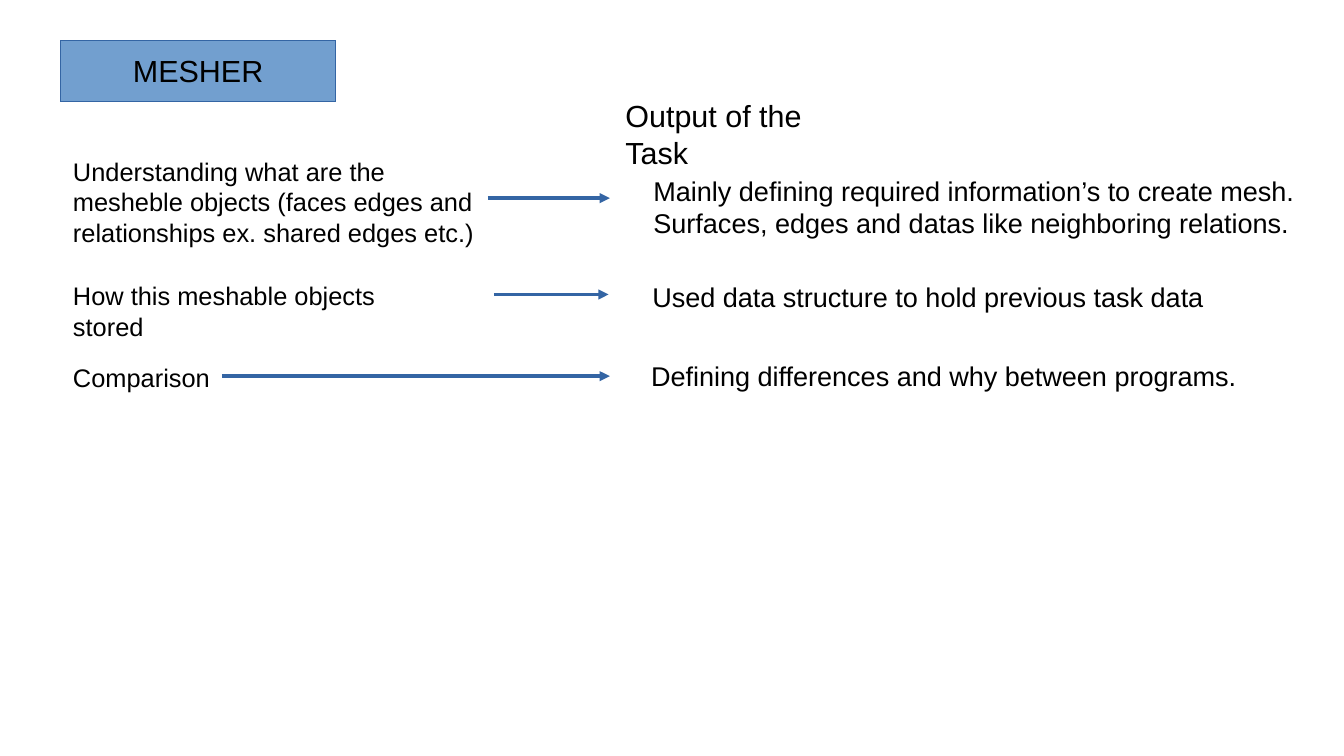
from lxml import etree
from pptx import Presentation
from pptx import util as u
from pptx.dml.color import RGBColor
from pptx.enum import shapes, text
from pptx.oxml.ns import qn

COLOURS = {"text": "000000", "fill": "729FCF", "line": "3465A4"}
FONT = "Arial"

# Each row: task, its box, task wraps, arrow start, arrow end,
# output, its box, output wraps
ROWS = [
    ("Understanding what are the mesheble objects (faces edges and "
     "relationships ex. shared edges etc.)", (0.5, 1.23, 3.5, 0.79), True, 4, 5,
     "Mainly defining required information’s to create mesh. "
     "Surfaces, edges and datas like neighboring relations.",
     (5.26, 1.38, 5.77, 0.59), True),
    ("How this meshable objects stored", (0.5, 2.25, 3.31, 0.33), False, 4.05, 4.99,
     "Used data structure to hold previous task data",
     (5.25, 2.25, 4.72, 0.35), False),
    ("Comparison", (0.5, 2.92, 1.32, 0.33), False, 1.82, 5,
     "Defining differences and why between programs.",
     (5.24, 2.9, 5, 0.35), False),
]


def colour(name):
    return RGBColor.from_string(COLOURS[name])


def style_line(line):
    line.color.rgb = colour("line")
    line.width = u.Pt(0)


def write(shape, words, size, align=text.PP_ALIGN.LEFT, **frame_format):
    frame = shape.text_frame
    frame_values = {
        "margin_left": u.Inches(0.1), "margin_right": u.Inches(0.1),
        "margin_top": u.Inches(0.05), "margin_bottom": u.Inches(0.05),
        **frame_format,
    }
    for name, value in frame_values.items():
        setattr(frame, name, value)
    para = frame.paragraphs[0]
    para.alignment = align
    para.line_spacing = 1.0
    para.space_before = u.Pt(0)
    span = para.add_run()
    span.text = words
    for name, value in {"name": FONT, "size": u.Pt(size), "bold": False}.items():
        setattr(span.font, name, value)
    span.font.color.rgb = colour("text")


def add_title(slide, box, words):
    title = slide.shapes.title
    for name, value in zip(("left", "top", "width", "height"), box):
        setattr(title, name, u.Inches(value))
    title.fill.solid()
    title.fill.fore_color.rgb = colour("fill")
    style_line(title.line)
    write(title, words, 18, text.PP_ALIGN.CENTER, word_wrap=True,
          auto_size=text.MSO_AUTO_SIZE.NONE,
          vertical_anchor=text.MSO_ANCHOR.MIDDLE)


def add_text(slide, box, words, size, wraps=False):
    shape = slide.shapes.add_textbox(*map(u.Inches, box))
    write(shape, words, size, word_wrap=wraps,
          auto_size=text.MSO_AUTO_SIZE.SHAPE_TO_FIT_TEXT,
          vertical_anchor=text.MSO_ANCHOR.TOP)
    return shape


def add_arrow(slide, start, end, middle):
    arrow = slide.shapes.add_connector(
        shapes.MSO_CONNECTOR.STRAIGHT,
        u.Inches(start), middle, u.Inches(end), middle)
    style_line(arrow.line)
    etree.SubElement(arrow.line._get_or_add_ln(), qn("a:tailEnd"), type="triangle")
    etree.SubElement(arrow._element.spPr, qn("a:effectLst"))
    return arrow


def add_row(slide, task, task_box, task_wraps, start, end,
            output, output_box, output_wraps):
    task_shape = add_text(slide, task_box, task, 15, task_wraps)
    middle = task_shape.top + task_shape.height // 2
    arrow = add_arrow(slide, start, end, middle)
    # Join the arrow where it begins at the task's right side
    if abs(start - task_box[0] - task_box[2]) < 0.01:
        arrow.begin_connect(task_shape, 3)
    add_text(slide, output_box, output, 16, output_wraps)


def main():
    deck = Presentation()
    deck.slide_width, deck.slide_height = u.Inches(11.02), u.Inches(6.2)
    slide = deck.slides.add_slide(deck.slide_layouts[5])

    # Headings
    add_title(slide, (0.5, 0.33, 2.25, 0.5), "MESHER")
    add_text(slide, (5.03, 0.75, 2.22, 0.38), "Output of the Task", 18)

    # Tasks and their outputs
    for row in ROWS:
        add_row(slide, *row)

    deck.save("out.pptx")


if __name__ == "__main__":
    main()
